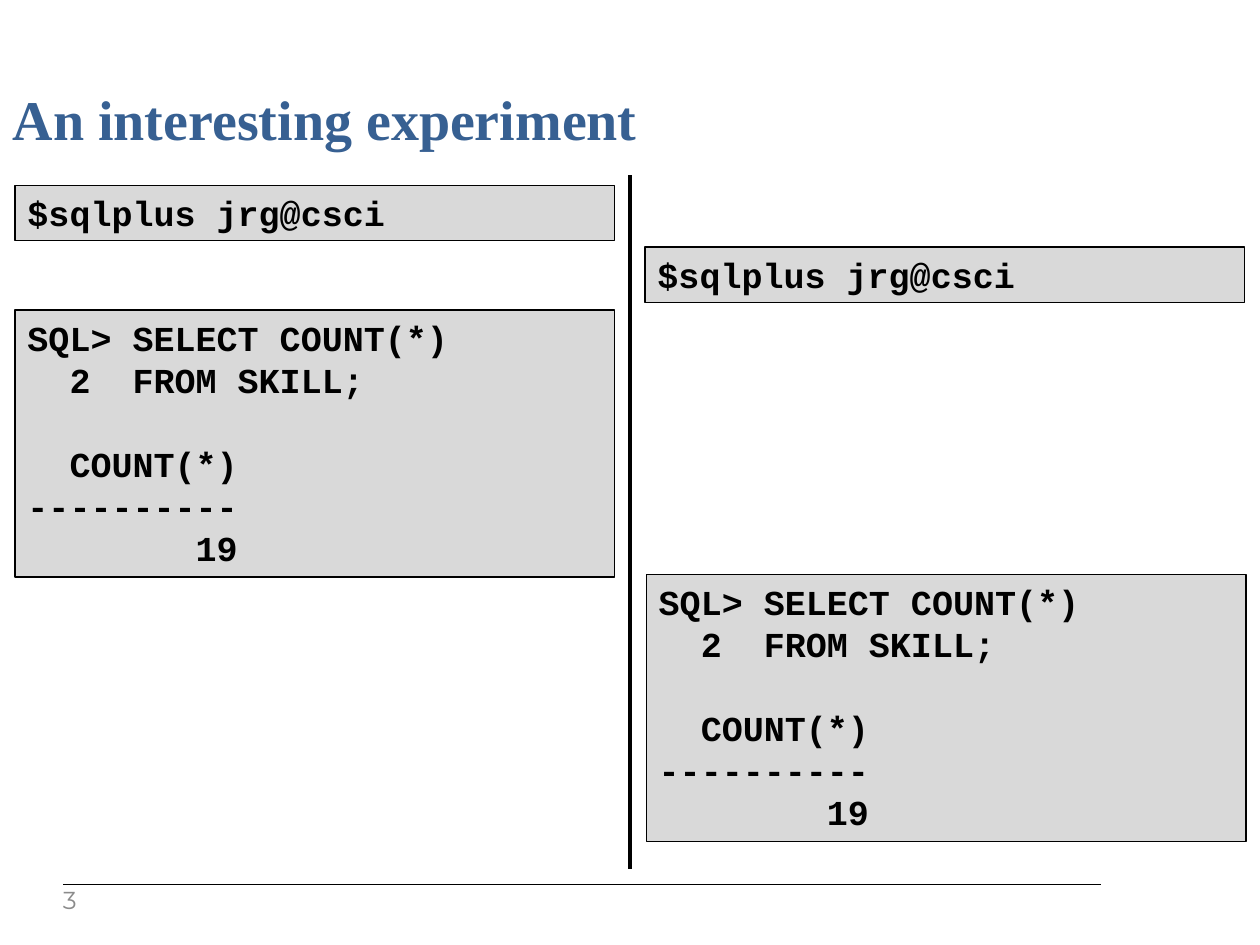
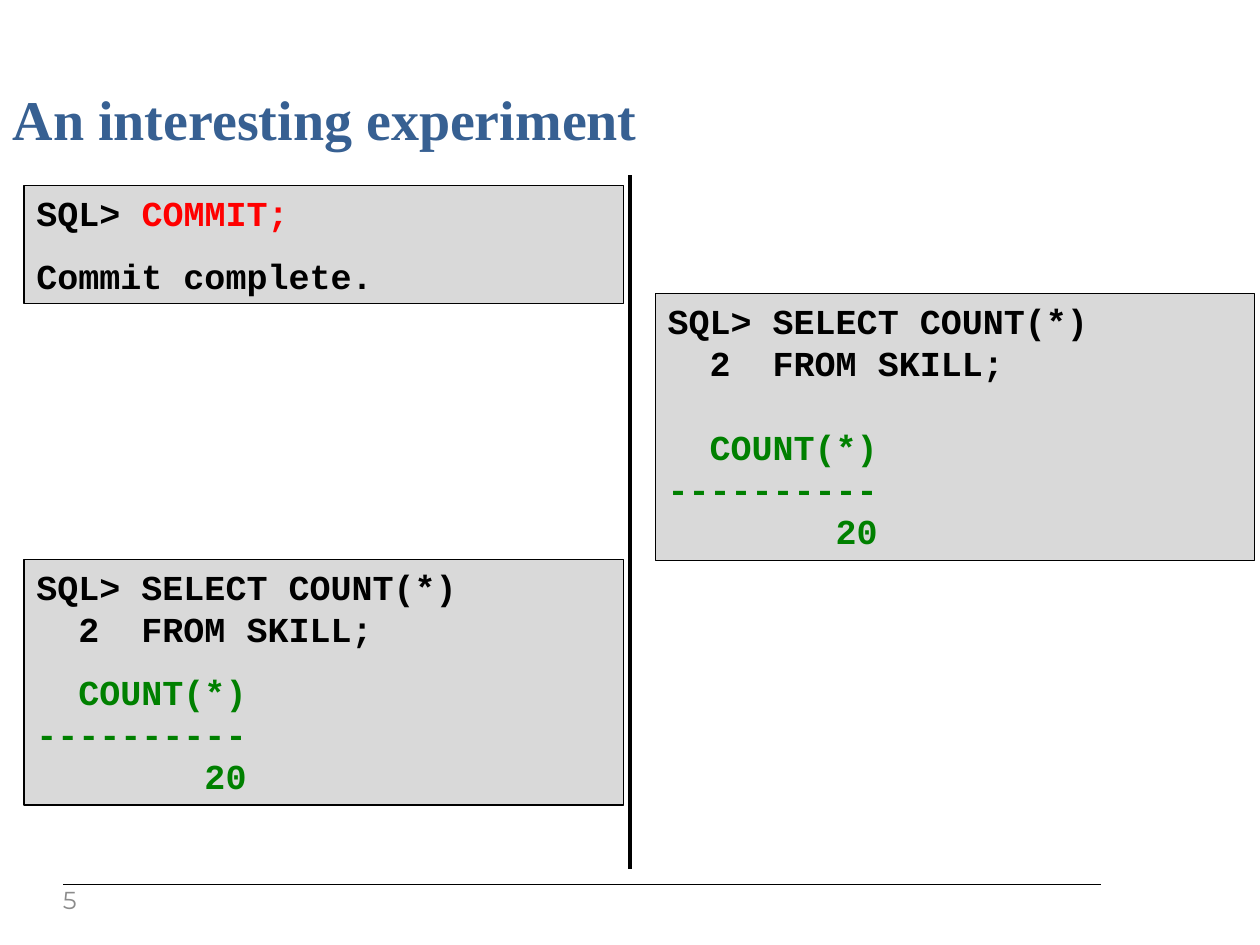
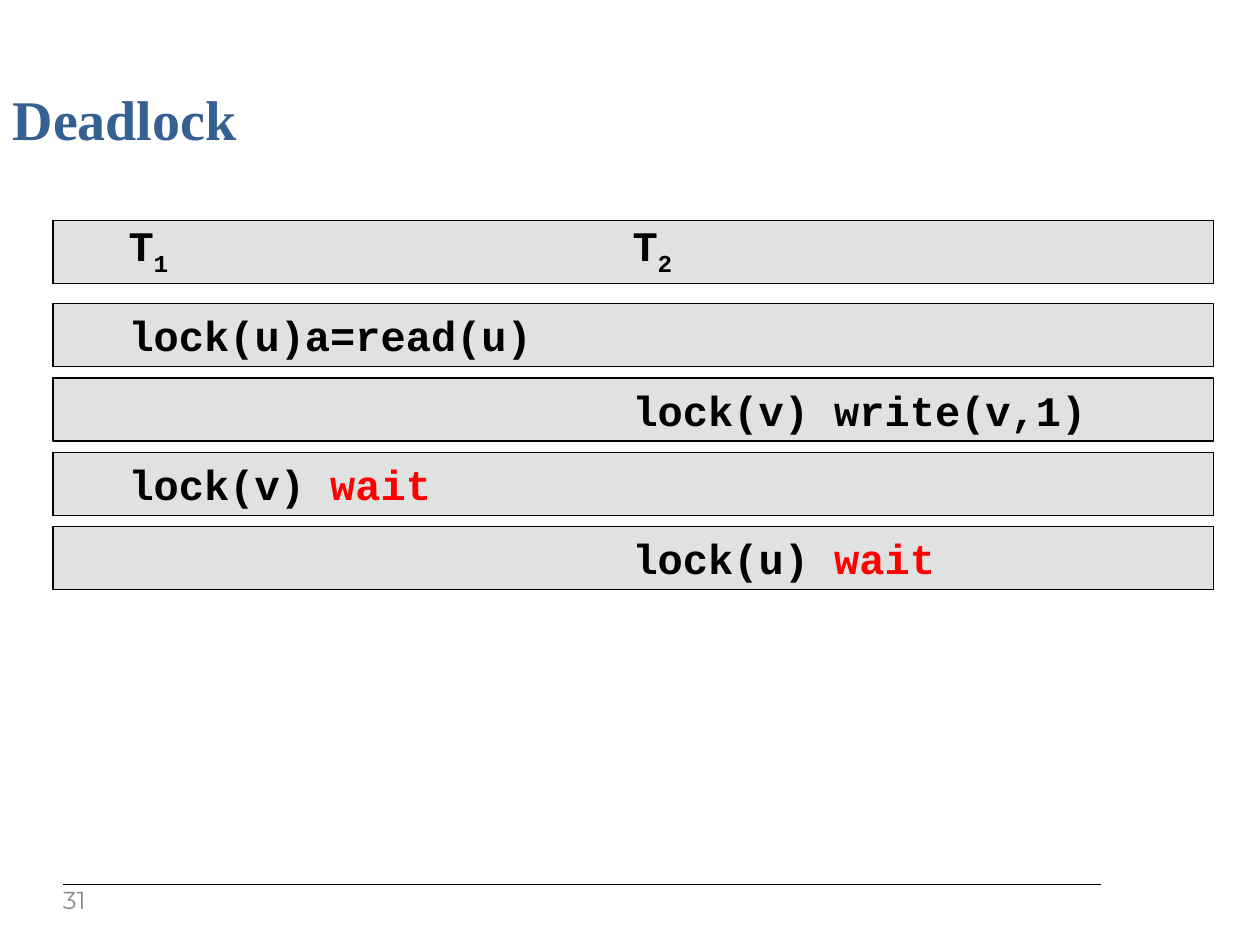
from lxml import etree
from pptx import Presentation
from pptx.dml.color import RGBColor
from pptx.enum.shapes import MSO_CONNECTOR, MSO_SHAPE
from pptx.enum.text import MSO_ANCHOR, MSO_AUTO_SIZE, PP_ALIGN
from pptx.oxml.ns import qn
from pptx.util import Inches, Pt

BLACK, BLUE, GRAY = "000000", "376092", "8B8B8B"
RED, GREEN = "FF0000", "008000"
CODE_FILL, ROW_FILL = "D9D9D9", "E0E2E2"
CODE_SIZE, ROW_SIZE, LEADING = 20, 24, 1.2
BOX_W = 4.76

LOGIN = [(0, [("$sqlplus jrg@csci", BLACK)])]
COMMIT = [
    (0, [("SQL> ", BLACK), ("COMMIT;", RED)]),
    (12, [("Commit complete.", BLACK)]),
]


def count_query(count, color, gap):
    return [
        (0, [("SQL> SELECT COUNT(*)", BLACK)]),
        (0, [("  2  FROM SKILL;", BLACK)]),
        (gap, [("  COUNT(*)", color)]),
        (0, [("----------", color)]),
        (0, [(f"        {count}", color)]),
    ]


EXPERIMENTS = [
    (3, [
        (0.12, 1.47, 0.44, LOGIN),
        (5.12, 1.96, 0.44, LOGIN),
        (0.12, 2.46, 2.12, count_query(19, BLACK, 24)),
        (5.13, 4.56, 2.12, count_query(19, BLACK, 24)),
    ]),
    (5, [
        (0.19, 1.47, 0.94, COMMIT),
        (5.2, 2.33, 2.12, count_query(20, GREEN, 24)),
        (0.19, 4.44, 1.95, count_query(20, GREEN, 12)),
    ]),
]

SCHEDULE_HEAD = [("T", BLACK), ("1", BLACK, "sub"), ("\tT", BLACK), ("2", BLACK, "sub")]
SCHEDULE = [
    [("lock(u)a=read(u)", BLACK)],
    [("\tlock(v) write(v,1)", BLACK)],
    [("lock(v) ", BLACK), ("wait", RED)],
    [("\tlock(u) ", BLACK), ("wait", RED)],
]


def rgb(color):
    return RGBColor.from_string(color)


def style(r, font, size, color, bold=False):
    r.font.name = font
    r.font.size = Pt(size)
    r.font.bold = bold
    r.font.color.rgb = rgb(color)


def add_line(s, x1, y1, x2, y2, width):
    ends = [Inches(v) for v in (x1, y1, x2, y2)]
    line = s.shapes.add_connector(MSO_CONNECTOR.STRAIGHT, *ends)
    line.line.color.rgb = rgb(BLACK)
    line.line.width = Pt(width)
    etree.SubElement(line._element.spPr, qn("a:effectLst"))


def add_slide(prs, title, number):
    s = prs.slides.add_slide(prs.slide_layouts[5])
    add_line(s, 0.5, 7.02, 8.74, 7.02, 0.75)
    sp = s.shapes.title
    sp.left, sp.top, sp.width, sp.height = [Inches(v) for v in (0, 0.62, 10, 0.67)]
    tf = sp.text_frame
    tf.text = title
    tf.auto_size = MSO_AUTO_SIZE.NONE
    tf.vertical_anchor = MSO_ANCHOR.TOP
    p = tf.paragraphs[0]
    p.alignment = PP_ALIGN.LEFT
    style(p.runs[0], "Times New Roman", 32, BLUE, True)

    sp = s.shapes.add_textbox(Inches(0.5), Inches(7.06), Inches(0.4), Inches(0.21))
    tf = sp.text_frame
    tf.word_wrap = True
    tf.vertical_anchor = MSO_ANCHOR.MIDDLE
    tf.margin_left = tf.margin_top = 0
    tf.text = str(number)
    style(tf.paragraphs[0].runs[0], "Montserrat", 14, GRAY)
    return s


def add_code(s, x, y, w, h, lines, size=CODE_SIZE, fill=CODE_FILL, inset=0.1, tab=None):
    sp = s.shapes.add_shape(MSO_SHAPE.RECTANGLE, Inches(x), Inches(y), Inches(w), Inches(h))
    sp.shadow.inherit = False
    sp.fill.solid()
    sp.fill.fore_color.rgb = rgb(fill)
    sp.line.color.rgb = rgb(BLACK)
    sp.line.width = Pt(0.75)
    tf = sp.text_frame
    tf.word_wrap = True
    tf.vertical_anchor = MSO_ANCHOR.TOP
    tf.margin_left = Inches(inset)
    for i, (gap, runs) in enumerate(lines):
        p = tf.add_paragraph() if i else tf.paragraphs[0]
        p.alignment = PP_ALIGN.LEFT
        p.line_spacing = Pt(size * LEADING)
        if gap:
            p.space_before = Pt(gap)
        if tab:
            tabs = etree.SubElement(p._p.get_or_add_pPr(), qn("a:tabLst"))
            etree.SubElement(tabs, qn("a:tab"), pos=str(Inches(tab)), algn="l")
        for text, color, *sub in runs:
            r = p.add_run()
            r.text = text
            style(r, "Courier New", size, color, True)
            if sub:
                r.font._element.set("baseline", "-25000")


def add_experiment(prs, number, boxes):
    s = add_slide(prs, "An interesting experiment", number)
    add_line(s, 5, 1.39, 5, 6.9, 2.25)
    for x, y, h, lines in boxes:
        add_code(s, x, y, BOX_W, h, lines)


def add_deadlock(prs):
    s = add_slide(prs, "Deadlock", 31)
    tops = [1.75] + [2.41 + 0.59 * i for i in range(len(SCHEDULE))]
    for y, runs in zip(tops, [SCHEDULE_HEAD] + SCHEDULE):
        add_code(s, 0.42, y, 9.21, 0.5, [(0, runs)], ROW_SIZE, ROW_FILL, inset=0.6, tab=4)


def main():
    prs = Presentation()
    prs.slide_width, prs.slide_height = Inches(10), Inches(7.5)
    for number, boxes in EXPERIMENTS:
        add_experiment(prs, number, boxes)
    add_deadlock(prs)
    prs.save("out.pptx")


if __name__ == "__main__":
    main()
